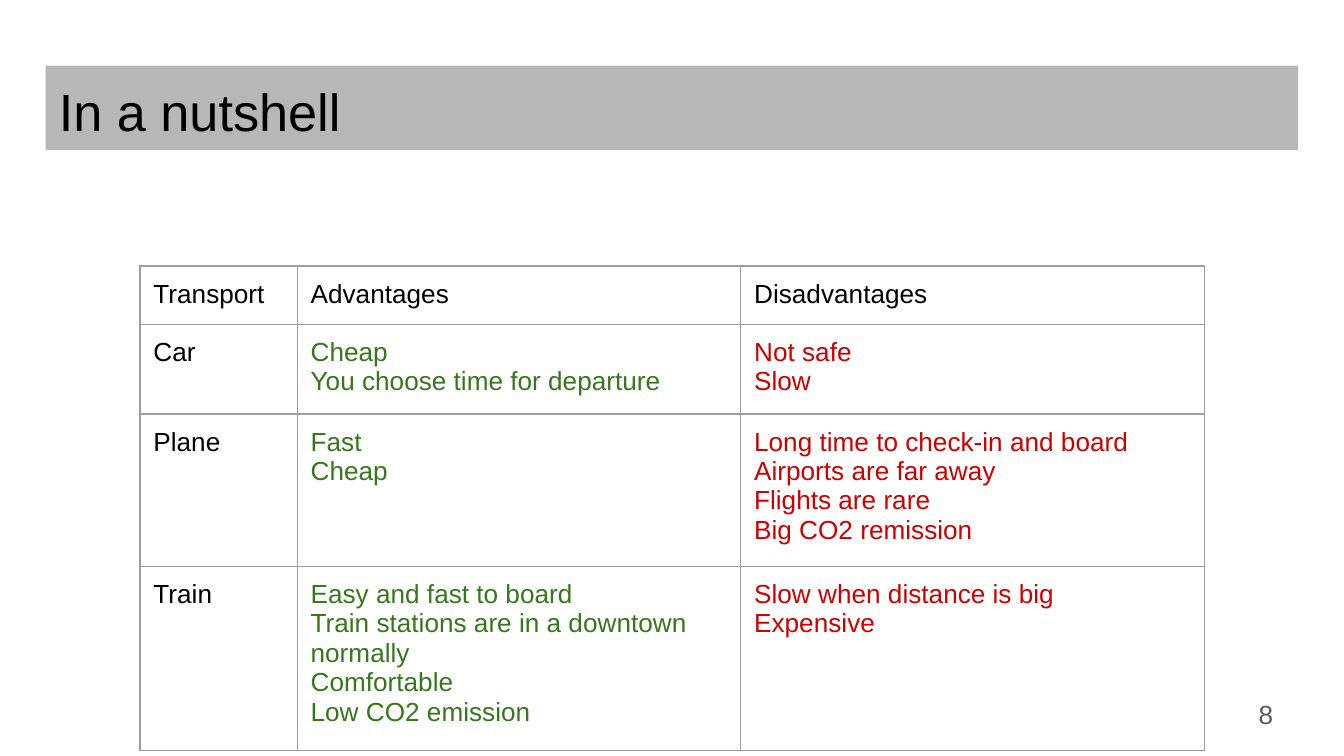
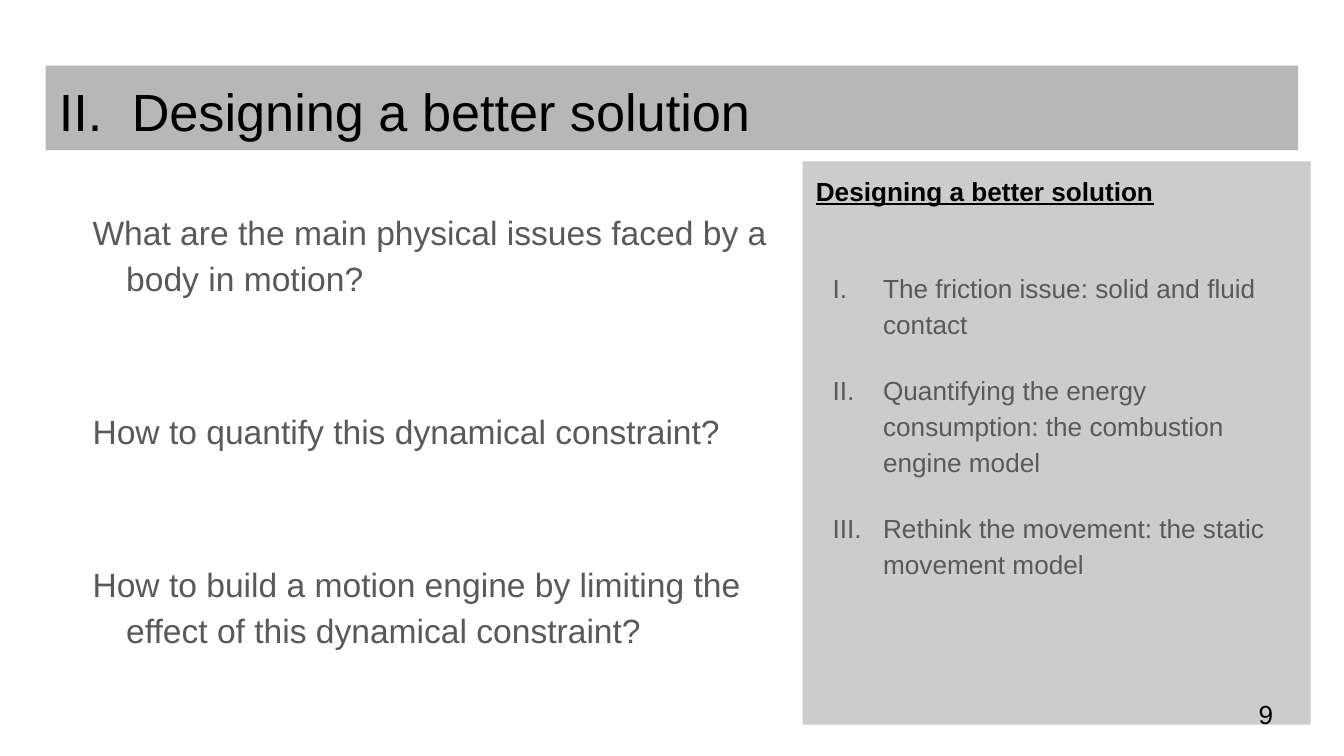
"""Builds a transport comparison table slide and a section opening slide."""
from lxml.etree import SubElement
from pptx import Presentation
from pptx.dml.color import RGBColor
from pptx.enum.shapes import MSO_SHAPE
from pptx.enum.text import MSO_ANCHOR, PP_ALIGN
from pptx.oxml.ns import qn
from pptx.util import Pt

COLORS = {
    "band": "B7B7B7", "panel": "CCCCCC", "black": "000000", "gray": "595959",
    "pro": "38761D", "con": "CC0000", "border": "9E9E9E",
}
FONT = "Arial"
INSET = 7.2
TITLE_BOX = (24.5, 35.2, 671, 45.3)
NUMBER_BOX = (667.2, 367.2, 43.2, 31)
TABLE_BOX = (75, 142.5, 570.24, 121)
QUESTIONS_BOX = (24.5, 103, 418.3, 269.3)
OUTLINE_BOX = (430, 86.5, 272.2, 301.7)

TRANSPORTS = [
    (["Transport"], ["Advantages"], ["Disadvantages"]),
    (["Car"], ["Cheap", "You choose time for departure"], ["Not safe", "Slow"]),
    (["Plane"], ["Fast", "Cheap"],
     ["Long time to check-in and board", "Airports are far away",
      "Flights are rare", "Big CO2 remission"]),
    (["Train"],
     ["Easy and fast to board", "Train stations are in a downtown normally",
      "Comfortable", "Low CO2 emission"],
     ["Slow when distance is big", "Expensive"]),
]
QUESTIONS = [
    "What are the main physical issues faced by a body in motion?",
    "How to quantify this dynamical constraint?",
    "How to build a motion engine by limiting the effect of this dynamical constraint?",
]
OUTLINE = [
    "The friction issue: solid and fluid contact",
    "Quantifying the energy consumption: the combustion engine model",
    "Rethink the movement: the static movement model",
]


def points(box):
    return [Pt(length) for length in box]


def rgb(name):
    return RGBColor.from_string(COLORS[name])


def apply(target, **formats):
    for name, value in formats.items():
        setattr(target, name, value)


def set_insets(target):
    apply(target, **{f"margin_{side}": Pt(INSET)
                     for side in ("left", "top", "right", "bottom")})


def write(frame, texts, size, color, indent=None, spacing=None, **fonts):
    """Fills an empty frame, or extends a filled one, and returns the new paragraphs."""
    written = []
    for text in texts:
        used = frame.paragraphs[0].runs
        line = frame.add_paragraph() if used else frame.paragraphs[0]
        apply(line, alignment=PP_ALIGN.LEFT, **(spacing or {}))
        if indent:
            left, first = indent
            line._p.get_or_add_pPr().set("marL", str(Pt(left)))
            line._p.get_or_add_pPr().set("indent", str(Pt(first)))
        run = line.add_run()
        run.text = text
        apply(run.font, name=FONT, size=Pt(size), **fonts)
        run.font.color.rgb = rgb(color)
        written.append(line)
    return written


def add_box(slide, box, fill=None, anchor=MSO_ANCHOR.TOP):
    if fill:
        shape = slide.shapes.add_shape(MSO_SHAPE.RECTANGLE, *points(box))
        shape.shadow.inherit = False
        shape.fill.solid()
        shape.fill.fore_color.rgb = rgb(fill)
        shape.line.fill.background()
    else:
        shape = slide.shapes.add_textbox(*points(box))
    frame = shape.text_frame
    apply(frame, word_wrap=True, vertical_anchor=anchor)
    set_insets(frame)
    return frame


def add_title(slide, title, box, indent=None):
    write(add_box(slide, box, "band"), [title], 28, "black", indent)


def add_number(slide, number, box, color):
    write(add_box(slide, box, anchor=MSO_ANCHOR.MIDDLE), [number], 14, color)


def add_borders(cell):
    properties = cell._tc.get_or_add_tcPr()
    for position, side in enumerate(("lnL", "lnR", "lnT", "lnB")):
        border = properties.makeelement(qn(f"a:{side}"), {"w": str(Pt(0.75))})
        properties.insert(position, border)
        fill = SubElement(border, qn("a:solidFill"))
        SubElement(fill, qn("a:srgbClr"), val=COLORS["border"])


def add_comparison(slide, box):
    grid = slide.shapes.add_table(len(TRANSPORTS), 3, *points(box)).table
    apply(grid, first_row=False, horz_banding=False)
    for column, width in zip(grid.columns, (84.24, 237.6, 248.4)):
        column.width = Pt(width)
    for row, entries in enumerate(TRANSPORTS):
        grid.rows[row].height = Pt(box[3] / len(TRANSPORTS))
        for column, lines in enumerate(entries):
            cell = grid.cell(row, column)
            cell.fill.background()
            set_insets(cell)
            add_borders(cell)
            color = ("black", "pro", "con")[column] if row else "black"
            write(cell.text_frame, lines, 14, color)


def add_questions(slide, box):
    lines = write(add_box(slide, box), QUESTIONS, 18, "gray", (36, -18),
                  {"line_spacing": 1.15})
    for line in lines[1:]:
        line.space_before = Pt(57)


def add_outline(slide, box):
    frame = add_box(slide, box, "panel")
    write(frame, ["Designing a better solution"], 14, "black",
          spacing={"space_after": Pt(33)}, bold=True, underline=True)
    lines = write(frame, OUTLINE, 14, "gray", (36, -27),
                  {"line_spacing": 1.15, "space_after": Pt(16)})
    for line in lines:
        properties = line._p.get_or_add_pPr()
        bullet_color = SubElement(properties, qn("a:buClr"))
        SubElement(bullet_color, qn("a:srgbClr"), val=COLORS["gray"])
        SubElement(properties, qn("a:buFont"), typeface=FONT)
        SubElement(properties, qn("a:buAutoNum"), type="romanUcPeriod")


def build_nutshell(slide):
    add_title(slide, "In a nutshell", TITLE_BOX)
    add_number(slide, "8", NUMBER_BOX, "gray")
    add_comparison(slide, TABLE_BOX)


def build_section(slide):
    add_title(slide, "II.\tDesigning a better solution", TITLE_BOX, (39, -39))
    add_questions(slide, QUESTIONS_BOX)
    add_outline(slide, OUTLINE_BOX)
    add_number(slide, "9", NUMBER_BOX, "black")


def main():
    deck = Presentation()
    apply(deck, slide_width=Pt(720), slide_height=Pt(405))
    for build in (build_nutshell, build_section):
        build(deck.slides.add_slide(deck.slide_layouts[6]))
    deck.save("out.pptx")


if __name__ == "__main__":
    main()
